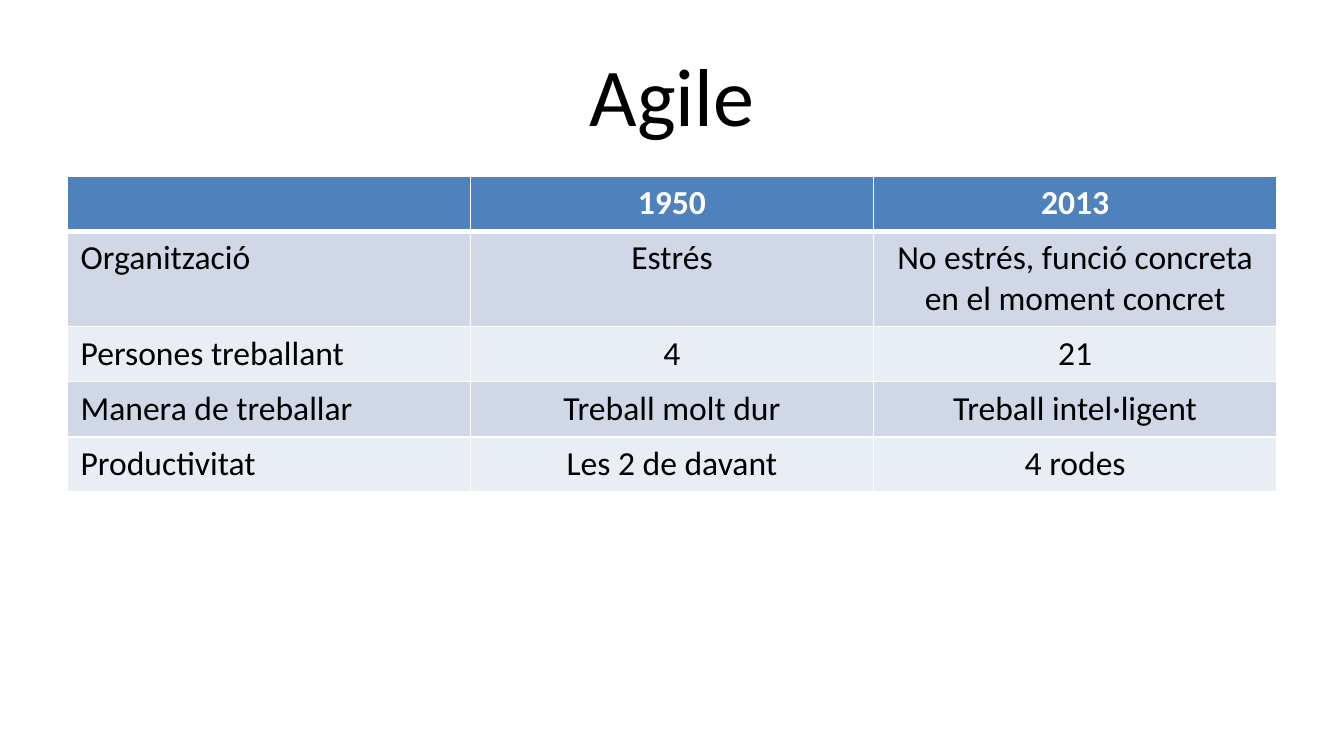
from typing import NamedTuple

from pptx import Presentation
from pptx.dml.color import RGBColor
from pptx.enum.text import MSO_ANCHOR, PP_ALIGN
from pptx.oxml import parse_xml
from pptx.oxml.ns import nsdecls
from pptx.util import Inches, Pt

FONT = "Calibri"
BLACK = RGBColor(0x00, 0x00, 0x00)
WHITE = RGBColor(0xFF, 0xFF, 0xFF)
HEADER_BLUE = RGBColor(0x4F, 0x81, 0xBD)
BANDS = (RGBColor(0xD0, 0xD8, 0xE8), RGBColor(0xE9, 0xED, 0xF4))

SLIDE_WIDTH = Inches(10)
SLIDE_HEIGHT = SLIDE_WIDTH * 9 // 16
COLUMN_WIDTH = Inches(3)
ROW_HEIGHT = Inches(0.41)


class Comparison(NamedTuple):
    topic: str
    before: str
    after: str


HEADER = Comparison("", "1950", "2013")
COMPARISONS = [
    Comparison("Organització", "Estrés",
               "No estrés, funció concreta en el moment concret"),
    Comparison("Persones treballant", "4", "21"),
    Comparison("Manera de treballar", "Treball molt dur", "Treball intel·ligent"),
    Comparison("Productivitat", "Les 2 de davant", "4 rodes"),
]


def write(text_frame, text: str, size: int, color: RGBColor,
          alignment: PP_ALIGN, bold: bool = False) -> None:
    text_frame.text = text
    paragraph = text_frame.paragraphs[0]
    paragraph.alignment = alignment
    for run in paragraph.runs:
        run.font.name, run.font.size, run.font.bold = FONT, Pt(size), bold
        run.font.color.rgb = color


def add_title(slide, text: str) -> None:
    title = slide.shapes.title
    title.left, title.top = Inches(0.5), Inches(0.23)
    title.width, title.height = Inches(9), Inches(0.94)
    title.text_frame.vertical_anchor = MSO_ANCHOR.MIDDLE
    write(title.text_frame, text, 44, BLACK, PP_ALIGN.CENTER)


def set_bottom_border(cell, color: RGBColor, points: float) -> None:
    """Borders must stand before the fill in the cell properties."""
    border = parse_xml(
        f'<a:lnB {nsdecls("a")} w="{Pt(points)}"><a:solidFill>'
        f'<a:srgbClr val="{color}"/></a:solidFill></a:lnB>')
    cell._tc.get_or_add_tcPr().insert(0, border)


def add_comparison_table(slide, rows: list[Comparison]) -> None:
    """The default table style supplies the thin white borders."""
    column_count = len(Comparison._fields)
    table = slide.shapes.add_table(
        len(rows), column_count, Inches(0.5), Inches(1.31),
        COLUMN_WIDTH * column_count, ROW_HEIGHT * len(rows)).table
    for row_index, row in enumerate(rows):
        is_header = row_index == 0
        fill = HEADER_BLUE if is_header else BANDS[(row_index - 1) % 2]
        for column_index, text in enumerate(row):
            cell = table.cell(row_index, column_index)
            cell.fill.solid()
            cell.fill.fore_color.rgb = fill
            if is_header:
                set_bottom_border(cell, WHITE, 3)
            write(cell.text_frame, text, 18, WHITE if is_header else BLACK,
                  PP_ALIGN.CENTER if column_index else PP_ALIGN.LEFT, is_header)


def main() -> None:
    presentation = Presentation()
    presentation.slide_width = SLIDE_WIDTH
    presentation.slide_height = SLIDE_HEIGHT
    title_only = presentation.slide_layouts[5]
    slide = presentation.slides.add_slide(title_only)
    add_title(slide, "Agile")
    add_comparison_table(slide, [HEADER, *COMPARISONS])
    presentation.save("out.pptx")


if __name__ == "__main__":
    main()
